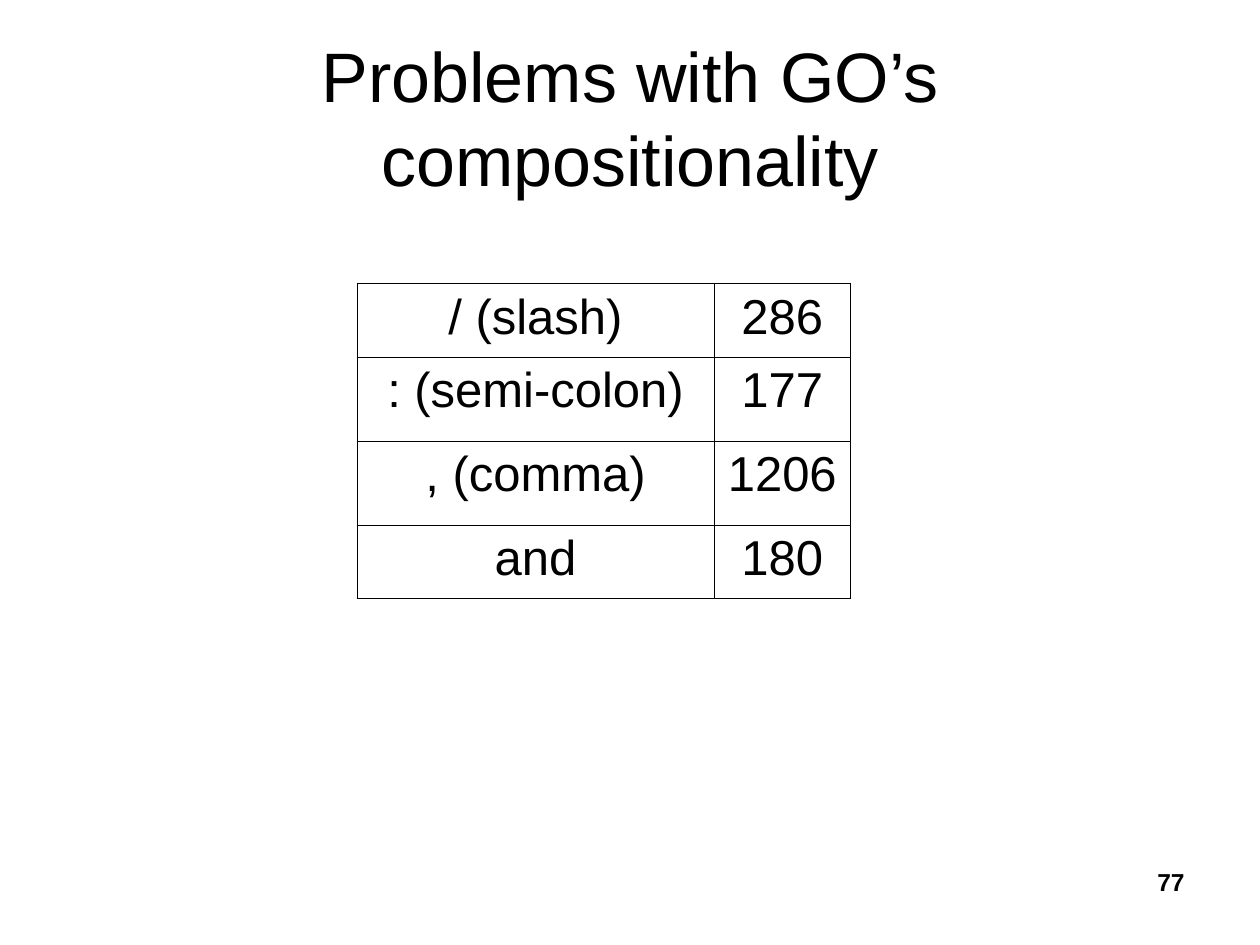
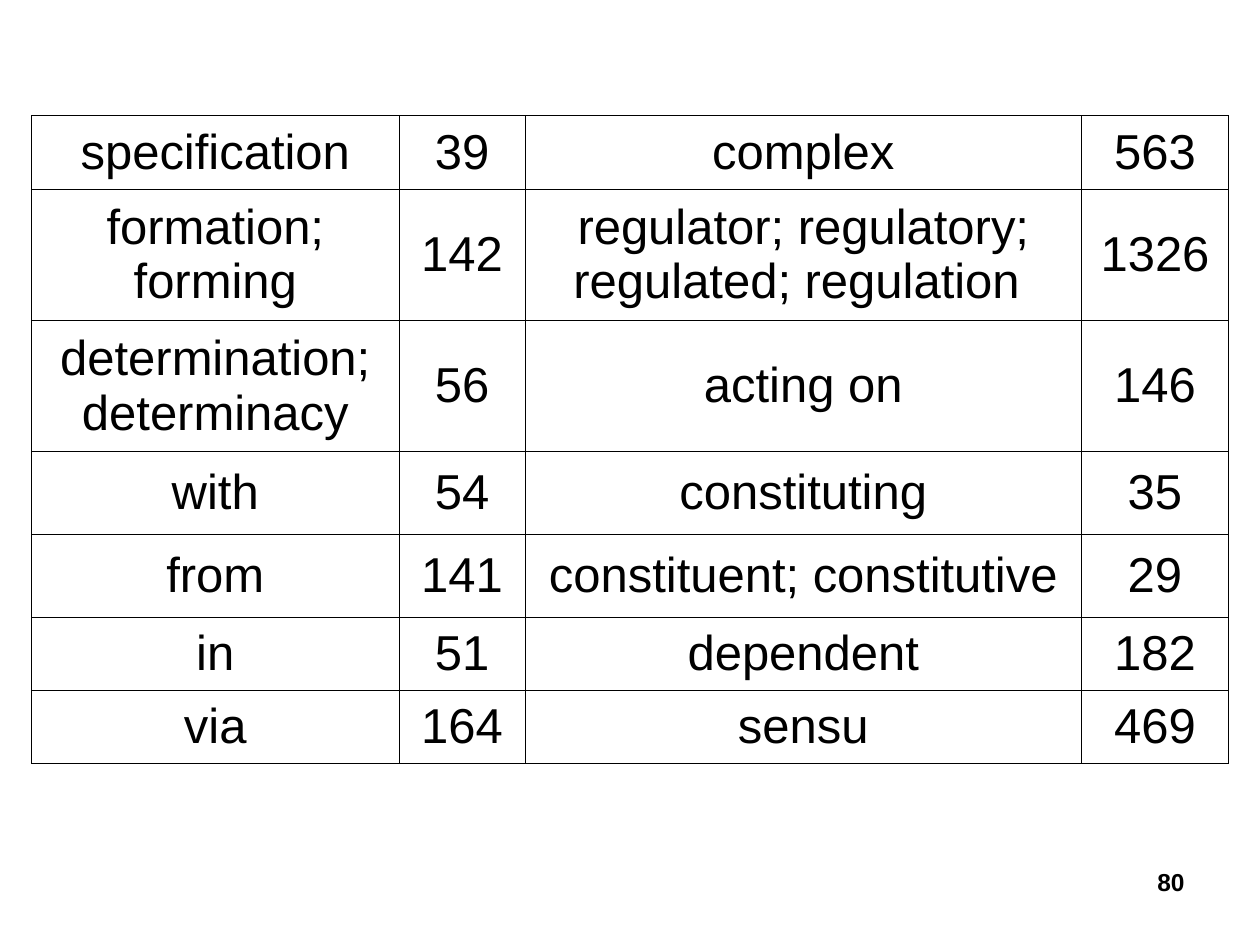
from dataclasses import dataclass

from lxml import etree
from pptx import Presentation
from pptx import util as u
from pptx.dml.color import RGBColor
from pptx.enum import text
from pptx.oxml import ns


@dataclass(frozen=True)
class Theme:
    font: str = "Arial"
    ink: str = "000000"
    paper: str = "FFFFFF"
    title_size: int = 40
    table_size: int = 28
    number_size: int = 14
    border: float = 0.45


THEME = Theme()
TITLE_ONLY, BLANK = 5, 6
CENTER, RIGHT = text.PP_ALIGN.CENTER, text.PP_ALIGN.RIGHT
TOP, MIDDLE = text.MSO_ANCHOR.TOP, text.MSO_ANCHOR.MIDDLE

PUNCTUATION_COUNTS = [
    ("/ (slash)", "286"),
    (": (semi-colon)", "177"),
    (", (comma)", "1206"),
    ("and", "180"),
]
OPERATOR_COUNTS = [
    ("specification", "39", "complex", "563"),
    ("formation; forming", "142",
     "regulator; regulatory; regulated; regulation ", "1326"),
    ("determination; determinacy", "56", "acting on", "146"),
    ("with", "54", "constituting", "35"),
    ("from", "141", "constituent; constitutive", "29"),
    ("in", "51", "dependent", "182"),
    ("via", "164", "sensu", "469"),
]


def grid(units):
    """Length of grid units; the slide is 120 columns by 90 rows."""
    return u.Inches(units / 12)


def write(frame, words, size, align, bold=False):
    frame.word_wrap = True
    paragraph = frame.paragraphs[0]
    paragraph.text = words
    paragraph.alignment = align
    paragraph.space_before = u.Pt(0)
    font = paragraph.font
    font.name, font.size, font.bold = THEME.font, u.Pt(size), bold
    font.color.rgb = RGBColor.from_string(THEME.ink)


def add_title(slide, words):
    title = slide.shapes.title
    title.left, title.top = grid(6), grid(3.6)
    title.width, title.height = grid(108), grid(15)
    title.text_frame.vertical_anchor = MIDDLE
    write(title.text_frame, words, THEME.title_size, CENTER)


def add_page_number(slide, number):
    box = slide.shapes.add_textbox(grid(86), grid(82), grid(28), grid(6.2))
    write(box.text_frame, str(number), THEME.number_size, RIGHT, bold=True)


def add_borders(cell):
    properties = cell._tc.get_or_add_tcPr()
    for side in ("a:lnL", "a:lnR", "a:lnT", "a:lnB"):
        line = etree.SubElement(properties, ns.qn(side), w=str(u.Pt(THEME.border)))
        fill = etree.SubElement(line, ns.qn("a:solidFill"))
        etree.SubElement(fill, ns.qn("a:srgbClr"), val=THEME.ink)


def add_count_table(slide, left, top, widths, heights, counts, anchor):
    table = slide.shapes.add_table(
        len(heights), len(widths), grid(left), grid(top),
        grid(sum(widths)), grid(sum(heights))).table
    table.first_row = table.horz_banding = False
    for column, width in zip(table.columns, widths):
        column.width = grid(width)
    for row, height, entries in zip(table.rows, heights, counts):
        row.height = grid(height)
        for cell, entry in zip(row.cells, entries):
            add_borders(cell)
            cell.fill.solid()
            cell.fill.fore_color.rgb = RGBColor.from_string(THEME.paper)
            cell.vertical_anchor = anchor
            write(cell.text_frame, entry, THEME.table_size, CENTER)


def main():
    deck = Presentation()
    deck.slide_width, deck.slide_height = grid(120), grid(90)

    punctuation = deck.slides.add_slide(deck.slide_layouts[TITLE_ONLY])
    add_title(punctuation, "Problems with GO’s compositionality")
    add_count_table(punctuation, 34, 27, (34, 13), (7, 8, 8, 7),
                    PUNCTUATION_COUNTS, TOP)
    add_page_number(punctuation, 77)

    operators = deck.slides.add_slide(deck.slide_layouts[BLANK])
    add_count_table(operators, 3, 11, (35, 12, 53, 14),
                    (7, 12.5, 12.5, 7.9, 7.9, 7, 6.9), OPERATOR_COUNTS, MIDDLE)
    add_page_number(operators, 80)

    deck.save("out.pptx")


if __name__ == "__main__":
    main()
